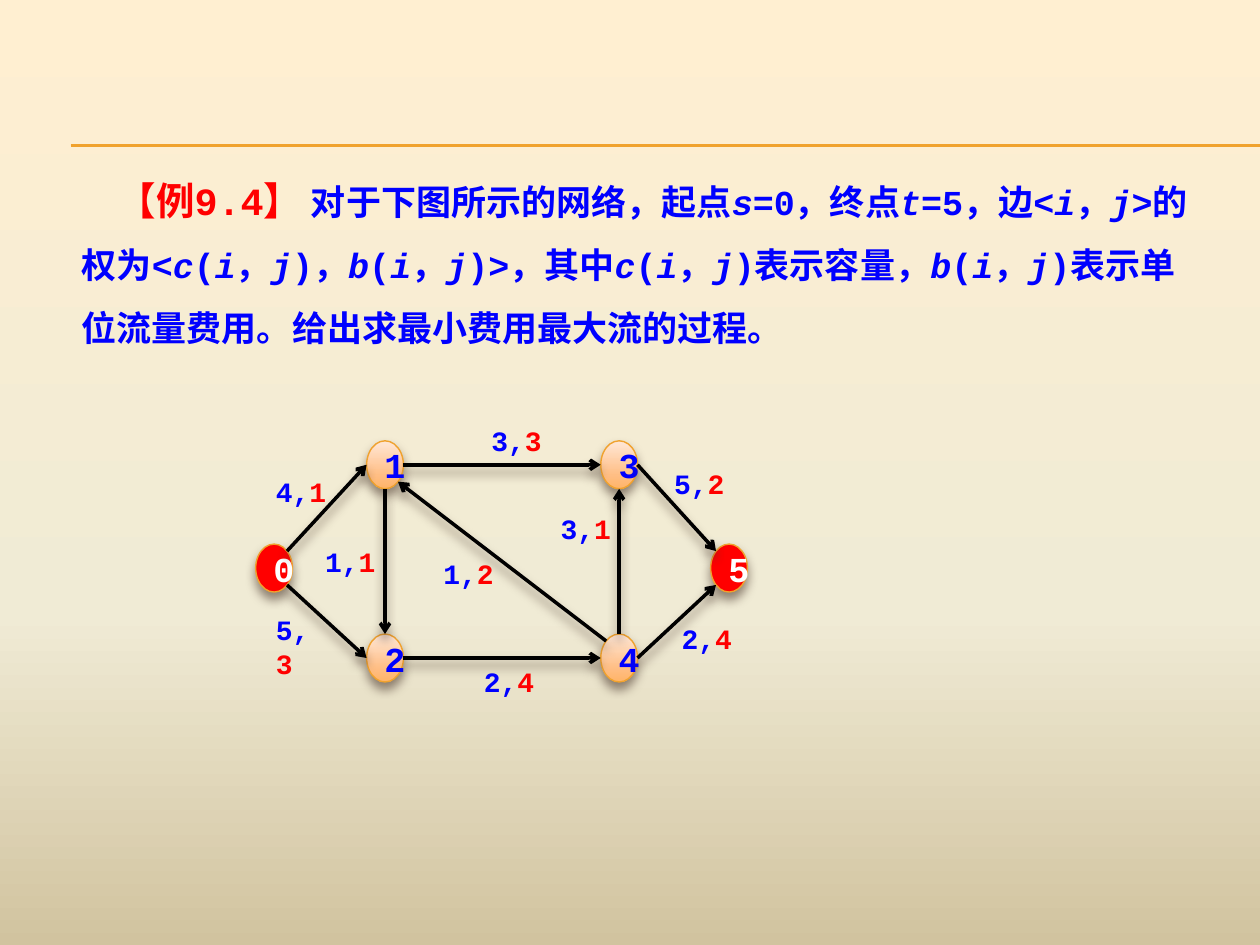
from math import cos, pi, sin

from lxml.etree import SubElement
from pptx import Presentation
from pptx.dml.color import RGBColor
from pptx.enum.lang import MSO_LANGUAGE_ID as Language
from pptx.enum.shapes import MSO_CONNECTOR as Connector, MSO_SHAPE as Shape
from pptx.enum.text import MSO_ANCHOR as Anchor, PP_ALIGN as Align
from pptx.oxml.ns import qn
from pptx.util import Pt

FONT = "Courier New"
BLUE, RED, WHITE, BLACK, ORANGE = "0000FF", "FF0000", "FFFFFF", "000000", "F0A22E"
SHADOW = "4E3B30"
BACKGROUND = [(0, "FFEFD1"), (65, "F0EBD5"), (100, "D1C39F")]
PEACH = [(0, "FFE7D7"), (72, "FFBE84"), (100, "FFB468")]

HEADING = "【例9.4】 "
# Text between asterisks is italic.
QUESTION = (
    "对于下图所示的网络，起点*s*=0，终点*t*=5，边<*i*，*j*>的权为<*c*(*i*，*j*)，"
    "*b*(*i*，*j*)>，其中*c*(*i*，*j*)表示容量，*b*(*i*，*j*)表示单位流量费用。"
    "给出求最小费用最大流的过程。"
)

NODE_WIDTH, NODE_HEIGHT = 21, 27.4
NODES = {  # centres
    0: (156.6, 324.6), 1: (220, 265.6), 2: (220, 376),
    3: (353.8, 265.6), 4: (353.8, 376), 5: (416.6, 324.6),
}
TERMINALS = (0, 5)

# Compass points on the node outlines, in eighths of a turn clockwise from east.
E, SE, S, SW, W, NW, N, NE = range(8)
# start node and side, end node and side, capacity, cost, label left, top, width
EDGES = [
    (0, NE, 1, W, 4, 1, 157.7, 271.4, 34),
    (1, E, 3, W, 3, 3, 280.8, 242, 40),
    (0, SE, 2, W, 5, 3, 157.7, 350, 28),
    (2, E, 4, W, 2, 4, 276.5, 379.5, 39),
    (3, E, 5, NW, 5, 2, 385.2, 266.4, 42),
    (4, E, 5, SW, 2, 4, 389.5, 355, 32.4),
    (1, S, 2, N, 1, 1, 185.8, 311, 32),
    (4, N, 3, S, 3, 1, 320.4, 292.3, 34),
    (4, NW, 1, SE, 1, 2, 253.4, 318.2, 34),
]


def rgb(color):
    return RGBColor.from_string(color)


def set_gradient(fill, element, stops):
    """Make fill, which belongs to element, a top-to-bottom gradient."""
    fill.gradient()
    fill.gradient_angle = 270
    stop_list = element.find(".//" + qn("a:gsLst"))
    for stop in list(stop_list):
        stop_list.remove(stop)
    for position, color in stops:
        stop = SubElement(stop_list, qn("a:gs"), pos=str(position * 1000))
        SubElement(stop, qn("a:srgbClr"), val=color)


def add_effects(shape, shadow=True):
    effects = SubElement(shape.element.spPr, qn("a:effectLst"))
    if shadow:
        outer = SubElement(effects, qn("a:outerShdw"), blurRad=str(Pt(6)), dist=str(Pt(4)),
                           dir="5400000", rotWithShape="0")
        color = SubElement(outer, qn("a:srgbClr"), val=SHADOW)
        SubElement(color, qn("a:alpha"), val="60000")


def add_line(slide, start, end, color, width):
    line = slide.shapes.add_connector(Connector.STRAIGHT, *map(Pt, start + end))
    line.line.color.rgb = rgb(color)
    line.line.width = Pt(width)
    return line


def style(paragraph, size):
    paragraph.font.name = FONT
    paragraph.font.size = Pt(size)
    paragraph.font.bold = True


def add_run(paragraph, text, color):
    run = paragraph.add_run()
    run.text = text
    run.font.color.rgb = rgb(color)
    run.font.language_id = Language.SIMPLIFIED_CHINESE
    return run


def add_text_frame(slide, left, top, width, height):
    frame = slide.shapes.add_textbox(Pt(left), Pt(top), Pt(width), Pt(height)).text_frame
    frame.word_wrap = True
    return frame


def add_question(slide):
    paragraph = add_text_frame(slide, 39.6, 84.2, 658, 116).paragraphs[0]
    paragraph.line_spacing = 1.5
    paragraph._p.get_or_add_pPr().set("indent", str(Pt(20.6)))
    style(paragraph, 20)
    add_run(paragraph, HEADING, RED).font.size = Pt(22)
    for index, text in enumerate(QUESTION.split("*")):
        add_run(paragraph, text, BLUE).font.italic = index % 2 == 1


def add_node(slide, name, center):
    x, y = center
    node = slide.shapes.add_shape(Shape.OVAL, Pt(x - NODE_WIDTH / 2), Pt(y - NODE_HEIGHT / 2),
                                  Pt(NODE_WIDTH), Pt(NODE_HEIGHT))
    terminal = name in TERMINALS
    if terminal:
        node.fill.solid()
        node.fill.fore_color.rgb = rgb(RED)
    else:
        set_gradient(node.fill, node.element, PEACH)
    node.line.color.rgb = rgb(ORANGE)
    node.line.width = Pt(0.8)
    add_effects(node)
    node.text_frame.vertical_anchor = Anchor.MIDDLE
    paragraph = node.text_frame.paragraphs[0]
    paragraph.alignment = Align.CENTER
    style(paragraph, 20)
    add_run(paragraph, str(name), WHITE if terminal else BLUE)


def outline_point(name, side):
    x, y = NODES[name]
    angle = side * pi / 4
    return x + NODE_WIDTH / 2 * cos(angle), y + NODE_HEIGHT / 2 * sin(angle)


def add_edge(slide, start, start_side, end, end_side):
    edge = add_line(slide, outline_point(start, start_side), outline_point(end, end_side), BLACK, 2)
    SubElement(edge.line._get_or_add_ln(), qn("a:tailEnd"), type="arrow")
    add_effects(edge)


def add_edge_label(slide, capacity, cost, left, top, width):
    frame = add_text_frame(slide, left, top, width, 19.4)
    frame.margin_left = frame.margin_right = frame.margin_top = frame.margin_bottom = 0
    paragraph = frame.paragraphs[0]
    style(paragraph, 16)
    add_run(paragraph, f"{capacity},", BLUE)
    add_run(paragraph, str(cost), RED)


def main():
    presentation = Presentation()
    presentation.slide_width, presentation.slide_height = Pt(720), Pt(540)
    slide = presentation.slides.add_slide(presentation.slide_layouts[6])
    set_gradient(slide.background.fill, slide.element, BACKGROUND)
    for y in (82.8, 83.4):
        add_effects(add_line(slide, (40.4, y), (720, y), ORANGE, 0.75), shadow=False)
    add_question(slide)
    for name, center in NODES.items():
        add_node(slide, name, center)
    for edge in EDGES:
        add_edge(slide, *edge[:4])
        add_edge_label(slide, *edge[4:])
    presentation.save("out.pptx")


if __name__ == "__main__":
    main()
